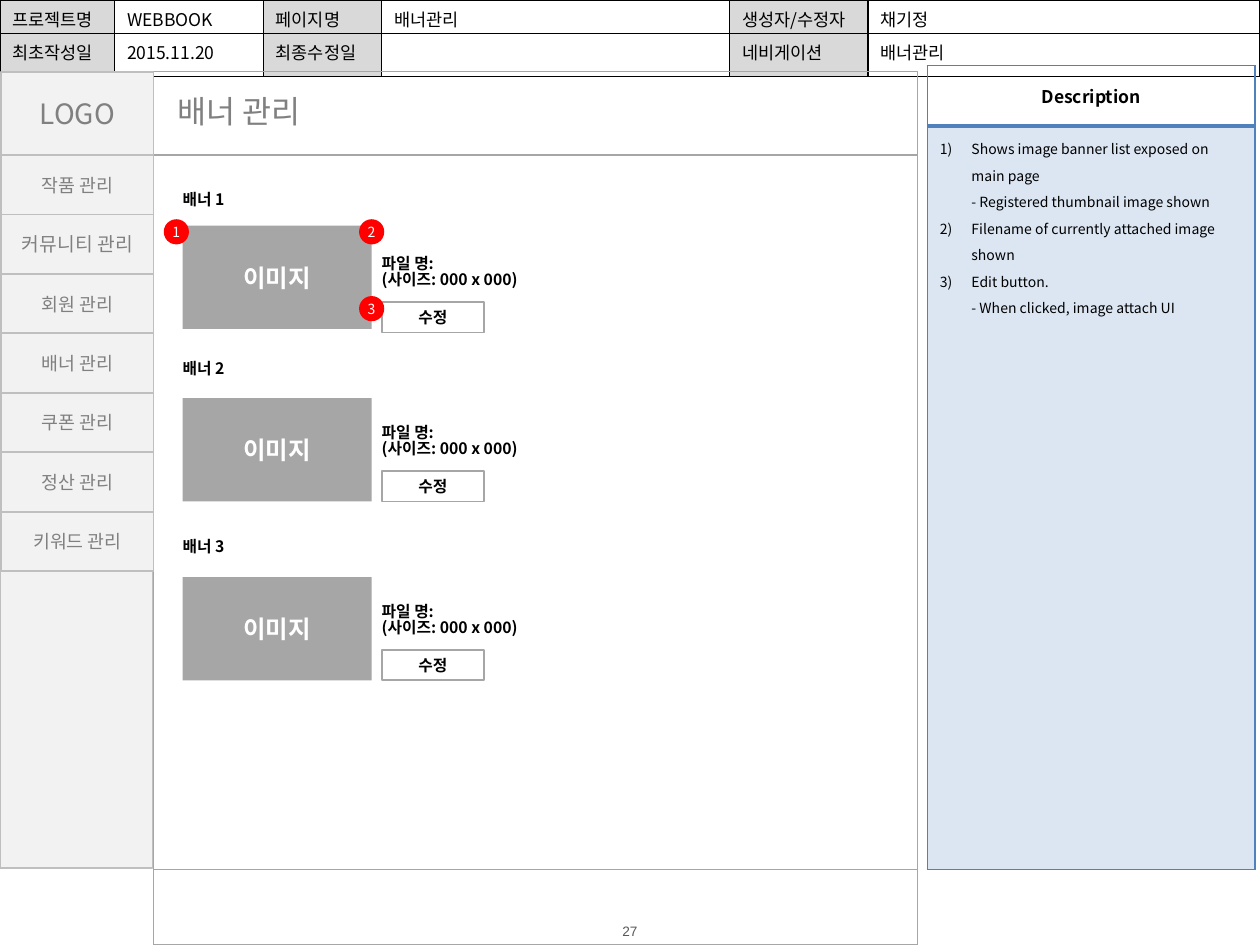
from dataclasses import dataclass

from lxml.etree import SubElement
from pptx import Presentation
from pptx.dml.color import RGBColor
from pptx.enum.shapes import MSO_SHAPE as Preset
from pptx.enum.text import MSO_ANCHOR as Anchor, MSO_AUTO_SIZE as AutoSize, PP_ALIGN as Align
from pptx.oxml.ns import qn
from pptx.util import Inches, Pt


@dataclass(frozen=True)
class Theme:
    font: str = "Noto Sans CJK KR"
    number_font: str = "Arial"
    black: str = "000000"
    white: str = "FFFFFF"
    label: str = "D9D9D9"
    panel: str = "F2F2F2"
    panel_line: str = "BFBFBF"
    gray: str = "A6A6A6"
    muted: str = "808080"
    number: str = "595959"
    blue: str = "4F81BD"
    pale_blue: str = "DCE6F2"
    marker: str = "FF0000"
    title: float = 18
    logo: float = 16
    image: float = 14
    menu: float = 10.5
    menu_large: float = 11
    table: float = 10
    body: float = 9
    small: float = 8
    page: float = 7.8


THEME = Theme()
MARGINS = ("margin_left", "margin_top", "margin_right", "margin_bottom")


def apply_format(target, values):
    for name, value in values.items():
        setattr(target, name, value)


def write_paragraph(paragraph, text, size, color=THEME.black, bold=False,
                    align=Align.LEFT, spacing=None, font=THEME.font):
    apply_format(paragraph, {"alignment": align, "line_spacing": spacing})
    half_points = str(round(size * 100))
    for index, line in enumerate(text.split("\n")):
        if index:
            paragraph.add_line_break()
            SubElement(paragraph._p[-1], qn("a:rPr"), sz=half_points)
        run = paragraph.add_run()
        run.text = line
        apply_format(run.font, {"name": font, "size": Pt(size), "bold": bold})
        run.font.color.rgb = RGBColor.from_string(color)
        SubElement(run.font._element, qn("a:ea"), typeface=font)
    if not text:
        SubElement(paragraph._p, qn("a:endParaRPr"), sz=half_points)


def write_frame(frame, lines, insets=(0.1, 0.05, 0.1, 0.05), anchor=Anchor.MIDDLE,
                wrap=True, **style):
    apply_format(frame, {"word_wrap": wrap, "auto_size": AutoSize.NONE, "vertical_anchor": anchor})
    apply_format(frame, dict(zip(MARGINS, map(Inches, insets))))
    for index, line in enumerate(lines):
        paragraph = frame.add_paragraph() if index else frame.paragraphs[0]
        write_paragraph(paragraph, line, **style)


def add_box(slide, box, fill=None, line=None, width=1, preset=Preset.RECTANGLE, text=None, **style):
    shape = slide.shapes.add_shape(preset, *map(Inches, box))
    shape.shadow.inherit = False
    for part, color in ((shape.fill, fill), (shape.line.fill, line)):
        if color:
            part.solid()
            part.fore_color.rgb = RGBColor.from_string(color)
        else:
            part.background()
    if line:
        shape.line.width = Pt(width)
    if text:
        write_frame(shape.text_frame, [text], **{"align": Align.CENTER, **style})


def add_text(slide, box, lines, **style):
    write_frame(slide.shapes.add_textbox(*map(Inches, box)).text_frame, lines, **style)


def add_grid(slide, box, columns, rows):
    table = slide.shapes.add_table(len(rows), len(columns), *map(Inches, box)).table
    apply_format(table, {"first_row": False, "horz_banding": False})
    for parts, sizes, name in ((table.columns, columns, "width"), (table.rows, rows, "height")):
        for part, size in zip(parts, sizes):
            setattr(part, name, Inches(size))
    return table


def format_cell(cell, fill, color, widths):
    """Border widths run left, right, top, bottom."""
    properties = cell._tc.get_or_add_tcPr()
    for side, width in zip(("L", "R", "T", "B"), widths):
        border = SubElement(properties, qn(f"a:ln{side}"), w=str(Pt(width)))
        SubElement(SubElement(border, qn("a:solidFill")), qn("a:srgbClr"), val=color)
    if fill:
        cell.fill.solid()
        cell.fill.fore_color.rgb = RGBColor.from_string(fill)
    else:
        cell.fill.background()


# Project facts across the top
def add_project_table(slide, box):
    rows = [("프로젝트명", "WEBBOOK", "페이지명", "배너관리", "생성자/수정자", "채기정"),
            ("최초작성일", "2015.11.20", "최종수정일", "", "네비게이션", "배너관리")]
    height = box[3] / len(rows)
    table = add_grid(slide, box, (0.91, 1.18, 0.94, 2.76, 1.1, 3.11), [height] * len(rows))
    for row, texts in enumerate(rows):
        for column, text in enumerate(texts):
            cell = table.cell(row, column)
            cell.margin_bottom = Inches(0.01)
            write_paragraph(cell.text_frame.paragraphs[0], text, THEME.table)
            format_cell(cell, None if column % 2 else THEME.label, THEME.black, (1, 1, 1, 1))


# Numbered notes on the right
def add_description(slide, box):
    notes = ["Shows image banner list exposed on main page\n- Registered thumbnail image shown",
             "Filename of currently attached image shown",
             "Edit button.\n- When clicked, image attach UI"]
    header = 0.48
    table = add_grid(slide, box, [box[2]], (header, box[3] - header))
    heading, body = table.cell(0, 0), table.cell(1, 0)
    heading.vertical_anchor = Anchor.MIDDLE
    write_paragraph(heading.text_frame.paragraphs[0], "Description", THEME.table,
                    bold=True, align=Align.CENTER)
    format_cell(heading, None, THEME.blue, (1, 1, 1, 2))
    for index, note in enumerate(notes):
        frame = body.text_frame
        paragraph = frame.add_paragraph() if index else frame.paragraphs[0]
        properties = paragraph._p.get_or_add_pPr()
        properties.set("marL", str(Inches(0.25)))
        properties.set("indent", str(Inches(-0.25)))
        SubElement(properties, qn("a:buAutoNum"), type="arabicParenR")
        write_paragraph(paragraph, note, THEME.small, spacing=1.3)
    format_cell(body, THEME.pale_blue, THEME.blue, (1, 1, 2, 1))


# Logo and menu down the left
def add_sidebar(slide, box):
    left, top, width, height = box
    logo_height, pitch = 0.66, 0.472
    items = ["작품", "커뮤니티", "회원", "배너", "쿠폰", "정산", "키워드"]
    style = {"fill": THEME.panel, "line": THEME.panel_line, "color": THEME.muted}
    rest = logo_height + 6 * pitch
    add_box(slide, (0, top + rest, width, height - rest), THEME.panel, THEME.panel_line)
    add_box(slide, (left, top, width, logo_height), text="LOGO", size=THEME.logo, **style)
    for index, item in enumerate(items):
        size = THEME.menu_large if item == "커뮤니티" else THEME.menu
        add_box(slide, (left, top + logo_height + index * pitch, width, pitch),
                text=f"{item} 관리", size=size, **style)


# Page title and the two outlines around the content
def add_page_frame(slide, box):
    left, top, width, height = box
    title = slide.shapes.title
    place = (left + 0.09, top + 0.11, 1.3, 0.4)
    apply_format(title, dict(zip(("left", "top", "width", "height"), map(Inches, place))))
    write_frame(title.text_frame, ["배너 관리"], anchor=Anchor.TOP, wrap=False,
                size=THEME.title, color=THEME.muted)
    add_box(slide, (left, top, width, 6.33), line=THEME.gray, width=0.75)
    add_box(slide, (left, top + 0.66, width, height - 0.66), line=THEME.gray, width=0.75)


# One banner: heading, thumbnail, file details and edit button
def add_banner(slide, number, box, image_top, button_top):
    left, top, width, height = box
    side = left + width + 0.08
    bold = {"size": THEME.body, "bold": True}
    add_box(slide, (left, top, 0.49, 0.23), THEME.white, text=f"배너 {number}",
            insets=(0, 0.04, 0, 0.04), align=Align.LEFT, wrap=False, **bold)
    add_box(slide, (left, image_top, width, height), THEME.gray, text="이미지",
            size=THEME.image, color=THEME.white, bold=True)
    add_text(slide, (side, button_top - 0.47, 1.57, 0.47), ["파일 명:", "(사이즈: 000 x 000)"],
             insets=(0, 0.04, 0, 0.04), spacing=0.83, **bold)
    add_box(slide, (side, button_top, 0.81, 0.24), THEME.white, THEME.gray, text="수정",
            insets=(0.04, 0, 0.04, 0), **bold)


def add_markers(slide, points, size=0.2):
    for number, (left, top) in enumerate(points, 1):
        add_box(slide, (left, top, size, size), THEME.marker, preset=Preset.OVAL,
                text=str(number), insets=(0, 0, 0, 0), size=THEME.small, color=THEME.white)


def main():
    presentation = Presentation()
    apply_format(presentation, {"slide_width": Inches(10), "slide_height": Inches(7.5)})
    slide = presentation.slides.add_slide(presentation.slide_layouts[5])
    add_text(slide, (4.57, 7.32, 0.86, 0.14), ["27"], insets=(0, 0, 0, 0), size=THEME.page,
             color=THEME.number, align=Align.CENTER, font=THEME.number_font)
    add_project_table(slide, (0, 0, 10, 0.53))
    add_description(slide, (7.36, 0.52, 2.6, 6.38))
    add_page_frame(slide, (1.22, 0.57, 6.06, 6.93))
    add_sidebar(slide, (0.01, 0.57, 1.21, 6.32))
    banners = [(1.47, 1.79, 2.4), (2.81, 3.16, 3.74), (4.22, 4.58, 5.16)]
    for number, (top, image_top, button_top) in enumerate(banners, 1):
        add_banner(slide, number, (1.45, top, 1.5, 0.82), image_top, button_top)
    add_markers(slide, [(1.3, 1.74), (2.85, 1.74), (2.85, 2.35)])
    presentation.save("out.pptx")


if __name__ == "__main__":
    main()
